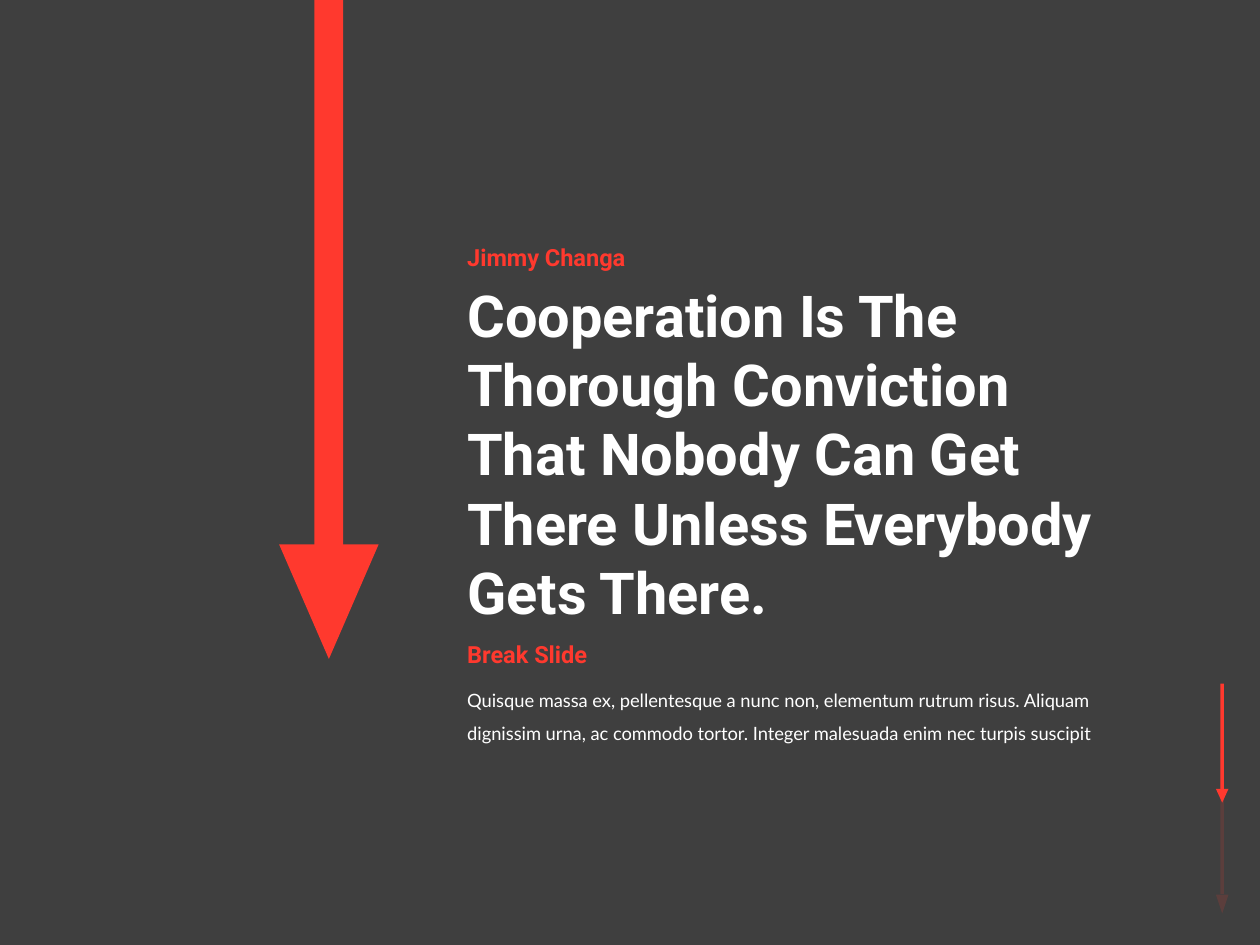
from lxml.etree import SubElement
from pptx import Presentation
from pptx.dml.color import RGBColor
from pptx.enum.shapes import MSO_SHAPE
from pptx.enum.text import MSO_ANCHOR, MSO_AUTO_SIZE
from pptx.oxml.ns import qn
from pptx.util import Inches, Pt

THEME = {
    "dark": RGBColor.from_string("3F3F3F"),
    "accent": RGBColor.from_string("FF392E"),
    "light": RGBColor.from_string("FFFFFF"),
    "head_font": "Roboto", "body_font": "Lato",
    "title": 33, "label": 13.5, "body": 10.5,
}

prs = Presentation()
prs.slide_width, prs.slide_height = Inches(10), Inches(7.5)
s = prs.slides.add_slide(prs.slide_layouts[6])
s.background.fill.solid()
s.background.fill.fore_color.rgb = THEME["dark"]

# Grid of 100 columns by 75 rows
COL, ROW = prs.slide_width / 100, prs.slide_height / 75
TEXT_LEFT = 36.1


def add_block(kind, x, y, w, h, color):
    sp = s.shapes.add_shape(kind, int(x * COL), int(y * ROW), int(w * COL), int(h * ROW))
    sp.shadow.inherit = False
    sp.fill.solid()
    sp.fill.fore_color.rgb = color
    sp.line.fill.background()
    return sp


def add_text(text, y, w, h, size, font=THEME["head_font"], color=THEME["light"],
             bold=True, spacing=None):
    sp = s.shapes.add_textbox(int(TEXT_LEFT * COL), int(y * ROW), int(w * COL), int(h * ROW))
    tf = sp.text_frame
    tf.word_wrap = True
    tf.auto_size = MSO_AUTO_SIZE.SHAPE_TO_FIT_TEXT
    tf.vertical_anchor = MSO_ANCHOR.TOP
    tf.text = text
    for p in tf.paragraphs:
        if spacing:
            p.line_spacing = spacing
        for r in p.runs:
            r.font.name, r.font.size, r.font.bold = font, Pt(size), bold
            r.font.color.rgb = color


# Down arrows: centre, shaft top, shaft length, shaft width, head top, head width, head height
arrows = [
    (97, 59.75, 11.2, 0.3, 71, 1, 1.5),
    (97, 54.25, 8.4, 0.3, 62.6, 1, 1.1),
    (26.1, -1.65, 45, 2.3, 43.2, 7.9, 9.1),
]
for i, (cx, top, length, width, head_top, head_w, head_h) in enumerate(arrows):
    add_block(MSO_SHAPE.RECTANGLE, cx - width / 2, top, width, length, THEME["accent"])
    head = add_block(MSO_SHAPE.ISOSCELES_TRIANGLE, cx - head_w / 2, head_top,
                     head_w, head_h, THEME["accent"])
    head.rotation = 180
    # Translucent veil that dims the first arrow
    if i == 0:
        veil = add_block(MSO_SHAPE.RECTANGLE, 14.7, 0, 85.3, 75, THEME["dark"])
        rgb = veil.fill._xPr.find(qn("a:solidFill"))[0]
        SubElement(rgb, qn("a:alpha"), val="85000")

# Quote, author and closing text
add_text("Cooperation Is The\nThorough Conviction\nThat Nobody Can Get\n"
         "There Unless Everybody\nGets There.", 21.7, 57.9, 28.8, THEME["title"])
add_text("Jimmy Changa", 18.8, 18.1, 3.3, THEME["label"], color=THEME["accent"])
add_text("Quisque massa ex, pellentesque a nunc non, elementum rutrum risus. Aliquam "
         "dignissim urna, ac commodo tortor. Integer malesuada enim nec turpis suscipit",
         53.3, 54.1, 6, THEME["body"], font=THEME["body_font"], bold=False, spacing=1.5)
add_text("Break Slide", 50.3, 16.7, 3.3, THEME["label"], color=THEME["accent"])

prs.save("out.pptx")
